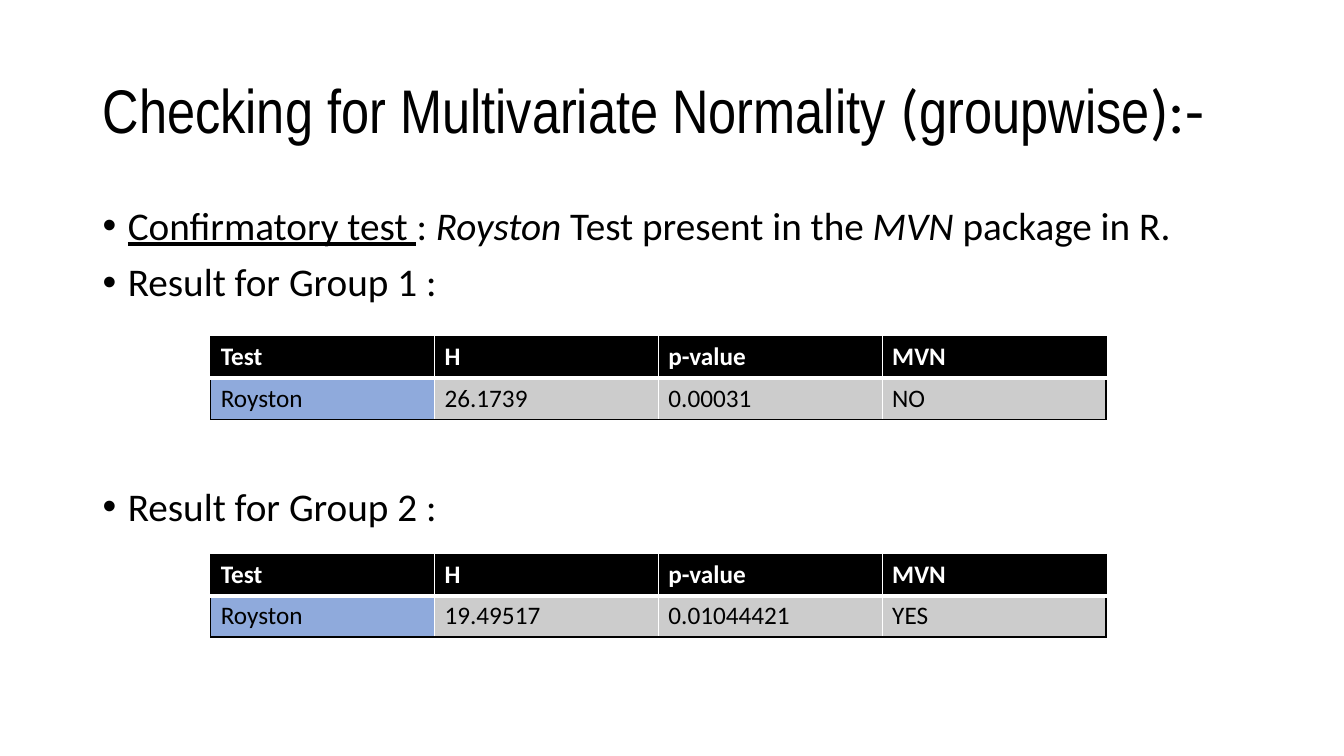
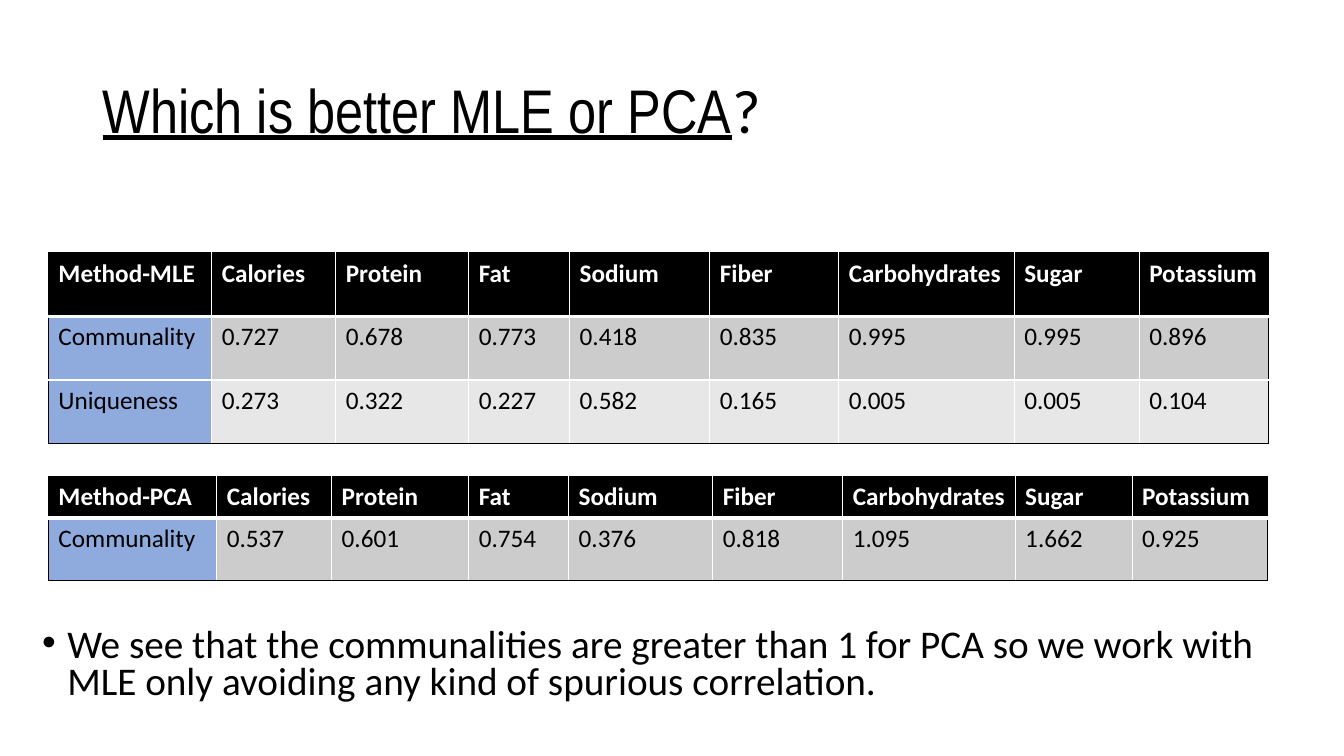
from lxml import etree
from pptx import Presentation
from pptx.dml.color import RGBColor
from pptx.enum import text
from pptx.oxml import ns
from pptx.util import Inches, Pt

BLACK, WHITE, BLUE = "000000", "FFFFFF", "8FAADC"
BANDS = ["CCCCCC", "E7E7E7"]
BODY, HEAD = "Calibri", "Arial Narrow"
TITLE = (0.92, 0.4, 11.5, 1.45)
color = RGBColor.from_string


def write(slide, spot, paras, size=28, lead=0.9, bullet=True):
    """Add a text box; paras hold (space before, [(text, marks)]).

    Marks: u underlined, i italic, n narrow heading font.
    """
    box = slide.shapes.add_textbox(*map(Inches, spot))
    frame = box.text_frame
    frame.word_wrap = True
    if not bullet:
        frame.vertical_anchor = text.MSO_ANCHOR.MIDDLE
    for n, (gap, runs) in enumerate(paras):
        para = frame.add_paragraph() if n else frame.paragraphs[0]
        para.line_spacing = lead
        para.space_before = Pt(gap)
        if bullet:
            props = para._p.get_or_add_pPr()
            props.set("marL", str(Inches(0.25)))
            props.set("indent", str(Inches(-0.25)))
            etree.SubElement(props, ns.qn("a:buFont"), typeface="Arial")
            etree.SubElement(props, ns.qn("a:buChar"), char="•")
        for words, marks in runs:
            run = para.add_run()
            run.text = words
            font = run.font
            font.size = Pt(size)
            font.name = HEAD if "n" in marks else BODY
            font.color.rgb = color(BLACK)
            font.underline = "u" in marks
            font.italic = "i" in marks


def grid(slide, left, top, widths, heights, rows):
    """Add a table with a black header, a blue first column and grey bands."""
    table = slide.shapes.add_table(
        len(rows), len(widths), Inches(left), Inches(top),
        Inches(sum(widths)), Inches(sum(heights))).table
    table.horz_banding = False
    for col, width in zip(table.columns, widths):
        col.width = Inches(width)
    for row, height in zip(table.rows, heights):
        row.height = Inches(height)
    for r, row in enumerate(rows):
        for c, words in enumerate(row):
            cell = table.cell(r, c)
            outer = {"L": c == 0, "R": c == len(row) - 1,
                     "T": r == 0, "B": r == len(rows) - 1}
            props = cell._tc.get_or_add_tcPr()
            for side, edge in outer.items():
                thick = (side, r) in (("B", 0), ("T", 1))
                line = etree.SubElement(props, ns.qn("a:ln" + side),
                                        w=str(Pt(3 if thick else 1)))
                fill = etree.SubElement(line, ns.qn("a:solidFill"))
                etree.SubElement(fill, ns.qn("a:srgbClr"),
                                 val=BLACK if edge else WHITE)
            if r == 0:
                shade = BLACK
            else:
                shade = BANDS[(r - 1) % 2] if c else BLUE
            cell.fill.solid()
            cell.fill.fore_color.rgb = color(shade)
            run = cell.text_frame.paragraphs[0].add_run()
            run.text = words
            run.font.size = Pt(18)
            run.font.name = BODY
            run.font.bold = r == 0
            run.font.color.rgb = color(BLACK if r else WHITE)


deck = Presentation()
deck.slide_width, deck.slide_height = Inches(13.33), Inches(7.5)
blank = deck.slide_layouts[6]

# Normality test
slide = deck.slides.add_slide(blank)
write(slide, TITLE, [(0, [
    ("Checking for Multivariate Normality ", "n"), ("(", ""),
    ("groupwise", "n"), ("):-", "")])], size=44, bullet=False)
write(slide, (0.92, 2, 11.5, 4.76), [
    (10, [("Confirmatory test ", "u"), (": ", ""), ("Royston", "i"),
          (" Test present in the ", ""), ("MVN", "i"),
          (" package in R.", "")]),
    (10, [("Result for Group 1 :", "")]),
    (130, [("Result for Group 2 :", "")])])
for top, result in [(3.34, ["26.1739", "0.00031", "NO"]),
                    (5.5, ["19.49517", "0.01044421", "YES"])]:
    grid(slide, 2.09, top, [2.22] * 4, [0.41] * 2,
         [["Test", "H", "p-value", "MVN"], ["Royston"] + result])

# Comparison of methods
slide = deck.slides.add_slide(blank)
write(slide, TITLE, [(0, [("Which is better MLE or PCA", "nu"), ("?", "")])],
      size=44, bullet=False)
foods = ["Calories", "Protein", "Fat", "Sodium", "Fiber",
         "Carbohydrates", "Sugar", "Potassium"]
grid(slide, 0.48, 2.51,
     [1.62, 1.23, 1.32, 1, 1.39, 1.28, 1.74, 1.24, 1.28], [0.63] * 3,
     [["Method-MLE"] + foods,
      ["Communality", "0.727", "0.678", "0.773", "0.418", "0.835",
       "0.995", "0.995", "0.896"],
      ["Uniqueness", "0.273", "0.322", "0.227", "0.582", "0.165",
       "0.005", "0.005", "0.104"]])
grid(slide, 0.48, 4.73,
     [1.67, 1.14, 1.36, 0.99, 1.43, 1.29, 1.71, 1.16, 1.34], [0.41, 0.62],
     [["Method-PCA"] + foods,
      ["Communality", "0.537", "0.601", "0.754", "0.376", "0.818",
       "1.095", "1.662", "0.925"]])
write(slide, (0.32, 6.18, 12.54, 0.92), [(10, [(
    "We see that the communalities are greater than 1 for PCA so we work "
    "with MLE only avoiding any kind of spurious correlation.", "")])],
      lead=0.8)

deck.save("out.pptx")
